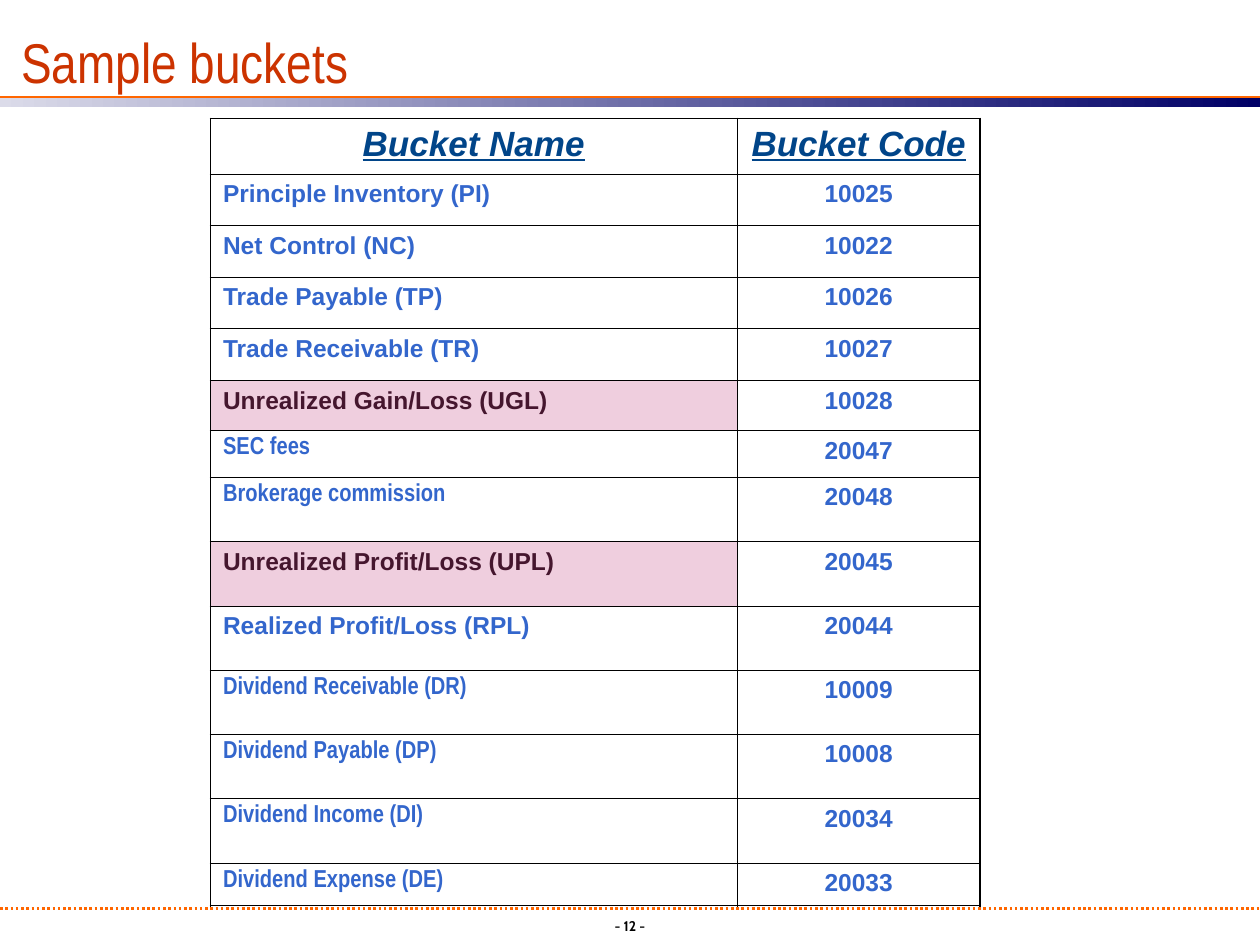
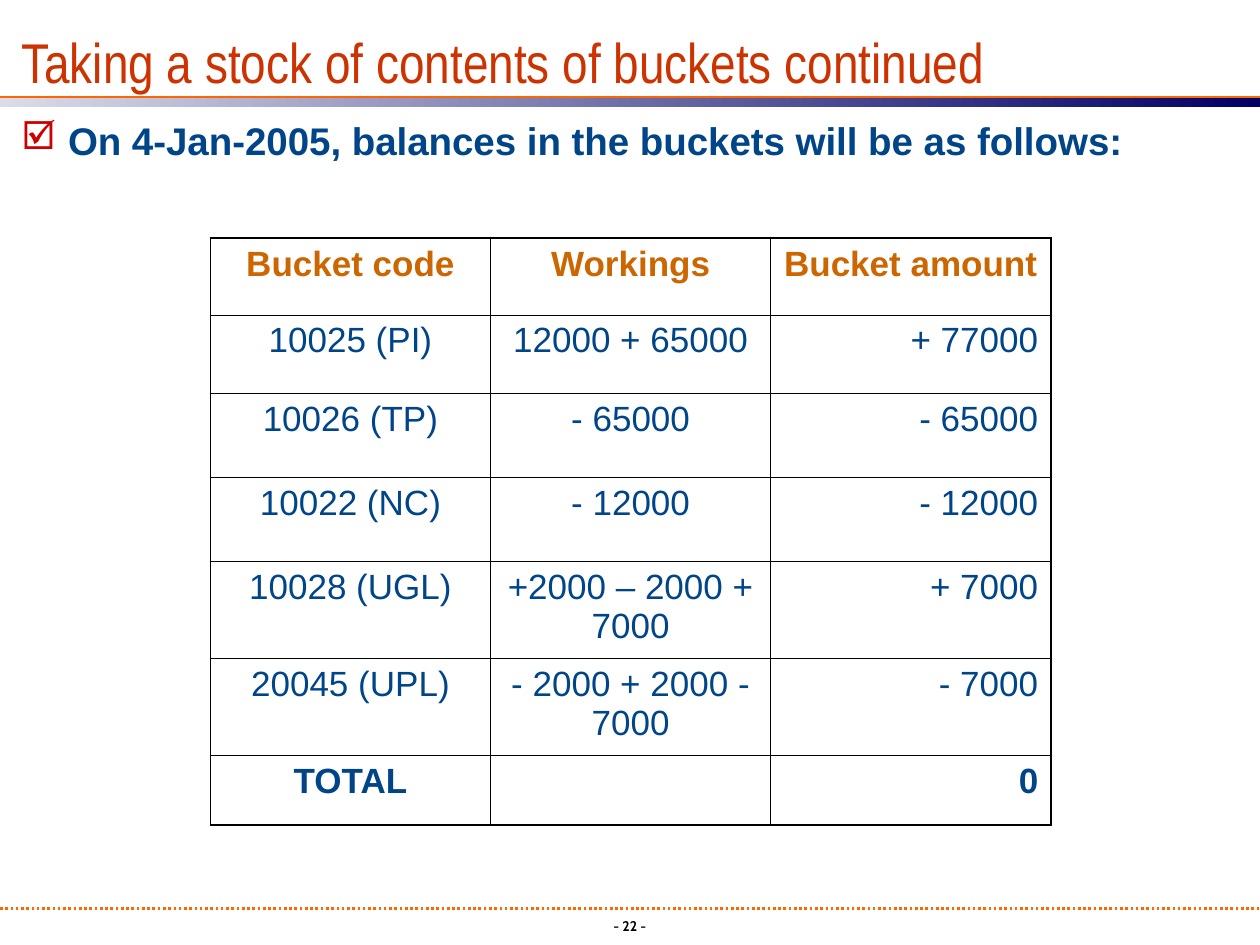
from lxml.etree import SubElement as add_tag
from pptx import Presentation
from pptx.dml.color import RGBColor
from pptx.enum.dml import MSO_LINE
from pptx.enum.shapes import MSO_CONNECTOR, MSO_SHAPE
from pptx.enum.text import MSO_ANCHOR, PP_ALIGN
from pptx.oxml import parse_xml
from pptx.oxml.ns import nsdecls, qn
from pptx.util import Inches, Pt

ORANGE, RED, TICK = "FF6600", "CC3300", "CC0000"
NAVY, BLUE, OCHRE = "014589", "3366CC", "CC6600"
PLUM, PINK, BLACK = "45162E", "EFCEDE", "000000"
PALE, DEEP = "DBDBE9", "000066"
SANS, SLIM, SMALL = "Arial", "Arial Narrow", "Cabin"
LEFT, MID, RIGHT = PP_ALIGN.LEFT, PP_ALIGN.CENTER, PP_ALIGN.RIGHT
THICK, THIN = 1.08, 0.45

# Name, code and look of each bucket
BUCKETS = [
    ("Principle Inventory (PI)", "10025", "plain"),
    ("Net Control (NC)", "10022", "plain"),
    ("Trade Payable (TP)", "10026", "plain"),
    ("Trade Receivable (TR)", "10027", "plain"),
    ("Unrealized Gain/Loss (UGL)", "10028", "marked"),
    ("SEC fees", "20047", "slim"),
    ("Brokerage commission", "20048", "slim"),
    ("Unrealized Profit/Loss (UPL)", "20045", "marked"),
    ("Realized Profit/Loss (RPL)", "20044", "plain"),
    ("Dividend Receivable (DR)", "10009", "slim"),
    ("Dividend Payable (DP)", "10008", "slim"),
    ("Dividend Income (DI)", "20034", "slim"),
    ("Dividend Expense (DE)", "20033", "slim"),
]
STOCK = [
    ("Bucket code", "Workings", "Bucket amount"),
    ("10025 (PI)", "12000 + 65000", "+ 77000"),
    ("10026 (TP)", "- 65000", "- 65000"),
    ("10022 (NC)", "- 12000", "- 12000"),
    ("10028 (UGL)", "+2000 – 2000 + 7000", "+ 7000"),
    ("20045 (UPL)", "- 2000 + 2000 - 7000", "- 7000"),
    ("TOTAL", "", "0"),
]


def rgb(code):
    return RGBColor.from_string(code)


def style(para, size, color, face=SANS, align=LEFT, bold=False, fancy=False):
    para.alignment = align
    for run in para.runs:
        font = run.font
        font.size, font.name, font.bold = Pt(size), face, bold
        font.color.rgb = rgb(color)
        if fancy:
            font.italic = font.underline = True


def add_text(slide, box, text, pad=(0, 0)):
    frame = slide.shapes.add_textbox(*map(Inches, box)).text_frame
    frame.word_wrap = True
    frame.margin_left = frame.margin_right = Inches(pad[0])
    frame.margin_top = frame.margin_bottom = Inches(pad[1])
    frame.text = text
    return frame


# Lines, band, title and page number
def add_rule(slide, left, top, dash=None):
    rule = slide.shapes.add_connector(
        MSO_CONNECTOR.STRAIGHT, Inches(left), Inches(top), Inches(10), Inches(top))
    rule.line.color.rgb = rgb(ORANGE)
    rule.line.width = Pt(1.5)
    if dash:
        rule.line.dash_style = dash
    add_tag(rule._element.spPr, qn("a:effectLst"))


def add_band(slide, box):
    band = slide.shapes.add_shape(MSO_SHAPE.RECTANGLE, *map(Inches, box))
    band.shadow.inherit = False
    band.line.fill.background()
    band.fill.gradient()
    band.fill.gradient_angle = 0
    for stop, color in zip(band.fill.gradient_stops, (PALE, DEEP)):
        stop.color.rgb = rgb(color)


def add_title(slide, box, text):
    frame = add_text(slide, box, text)
    frame.vertical_anchor = MSO_ANCHOR.BOTTOM
    para = frame.paragraphs[0]
    style(para, 32, RED, SLIM)
    shade = parse_xml(
        f'<a:effectLst {nsdecls("a")}><a:outerShdw dist="17961" dir="2700000">'
        '<a:srgbClr val="808080"/></a:outerShdw></a:effectLst>')
    para.runs[0].font._element.find(qn("a:solidFill")).addnext(shade)


def add_page(deck, title, number):
    slide = deck.slides.add_slide(deck.slide_layouts[6])
    add_rule(slide, 0, 7.21, MSO_LINE.ROUND_DOT)
    add_band(slide, (0, 0.78, 10, 0.07))
    add_rule(slide, -0.02, 0.77)
    foot = add_text(slide, (3.96, 7.23, 2.08, 0.27), f"- {number} -", (0.1, 0.05))
    style(foot.paragraphs[0], 8, BLACK, SMALL, MID, True)
    add_title(slide, (0.17, 0.14, 8, 0.61), title)
    return slide


# Tables with a thick frame and thin inner lines
def add_edge(cell, side, width):
    line = add_tag(cell._tc.get_or_add_tcPr(), qn(f"a:ln{side}"), w=str(Pt(width)))
    fill = add_tag(line, qn("a:solidFill"))
    add_tag(fill, qn("a:srgbClr"), val=BLACK)


def add_grid(slide, left, top, widths, heights, rows):
    shape = slide.shapes.add_table(
        len(heights), len(widths), Inches(left), Inches(top),
        Inches(sum(widths)), Inches(sum(heights)))
    grid = shape.table
    grid.first_row = grid.horz_banding = False
    for col, width in zip(grid.columns, widths):
        col.width = Inches(width)
    for row, height in zip(grid.rows, heights):
        row.height = Inches(height)
    end_row, end_col = len(heights) - 1, len(widths) - 1
    for r, texts in enumerate(rows):
        for c, text in enumerate(texts):
            cell = grid.cell(r, c)
            cell.text = text
            outer = {"L": c == 0, "R": c == end_col, "T": r == 0, "B": r == end_row}
            for side, thick in outer.items():
                add_edge(cell, side, THICK if thick else THIN)
            cell.fill.background()
    return grid


def first_para(cell):
    return cell.text_frame.paragraphs[0]


def bucket_page(deck):
    slide = add_page(deck, "Sample buckets", 12)
    heights = [0.44] + [0.41] * 4 + [0.4, 0.37] + [0.51] * 6 + [0.34]
    rows = [("Bucket Name", "Bucket Code")] + [item[:2] for item in BUCKETS]
    grid = add_grid(slide, 1.67, 0.94, (4.18, 1.93), heights, rows)
    for c in range(2):
        style(first_para(grid.cell(0, c)), 20, NAVY, align=MID, bold=True, fancy=True)
    for r, (_, _, look) in enumerate(BUCKETS, 1):
        name, code = grid.cell(r, 0), grid.cell(r, 1)
        marked = look == "marked"
        style(first_para(name), 14, PLUM if marked else BLUE,
              SLIM if look == "slim" else SANS, bold=True)
        style(first_para(code), 14, BLUE, align=MID, bold=True)
        if marked:
            name.fill.solid()
            name.fill.fore_color.rgb = rgb(PINK)


def add_point(slide, box, text):
    para = add_text(slide, box, text).paragraphs[0]
    props = para._p.get_or_add_pPr()
    props.set("marL", str(Inches(0.37)))
    props.set("indent", str(-Inches(0.37)))
    color = add_tag(props, qn("a:buClr"))
    add_tag(color, qn("a:srgbClr"), val=TICK)
    add_tag(props, qn("a:buChar"), char="☑")
    style(para, 22, NAVY, bold=True)


def stock_page(deck):
    slide = add_page(deck, "Taking a stock of contents of buckets continued", 22)
    add_point(slide, (0.17, 0.93, 9.67, 0.5),
              "On 4-Jan-2005, balances in the buckets will be as follows:")
    heights = (0.61, 0.62, 0.67, 0.67, 0.77, 0.77, 0.55)
    grid = add_grid(slide, 1.67, 1.89, [6.67 / 3] * 3, heights, STOCK)
    last = len(STOCK) - 1
    for r in range(len(STOCK)):
        for c in range(3):
            style(first_para(grid.cell(r, c)), 20, NAVY if r else OCHRE,
                  align=RIGHT if r and c == 2 else MID, bold=r in (0, last))


def main():
    deck = Presentation()
    deck.slide_width, deck.slide_height = Inches(10), Inches(7.5)
    bucket_page(deck)
    stock_page(deck)
    deck.save("out.pptx")


if __name__ == "__main__":
    main()
